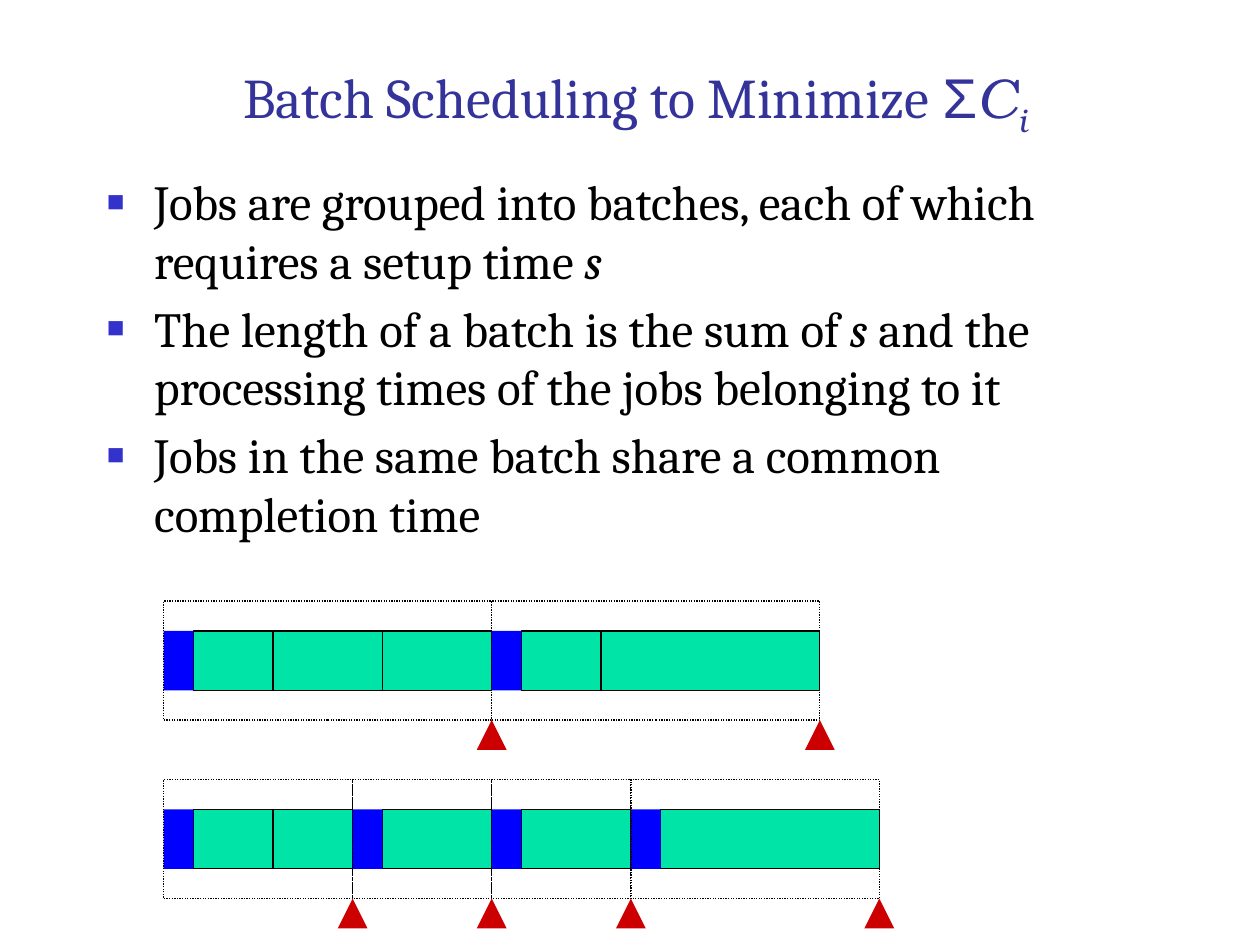
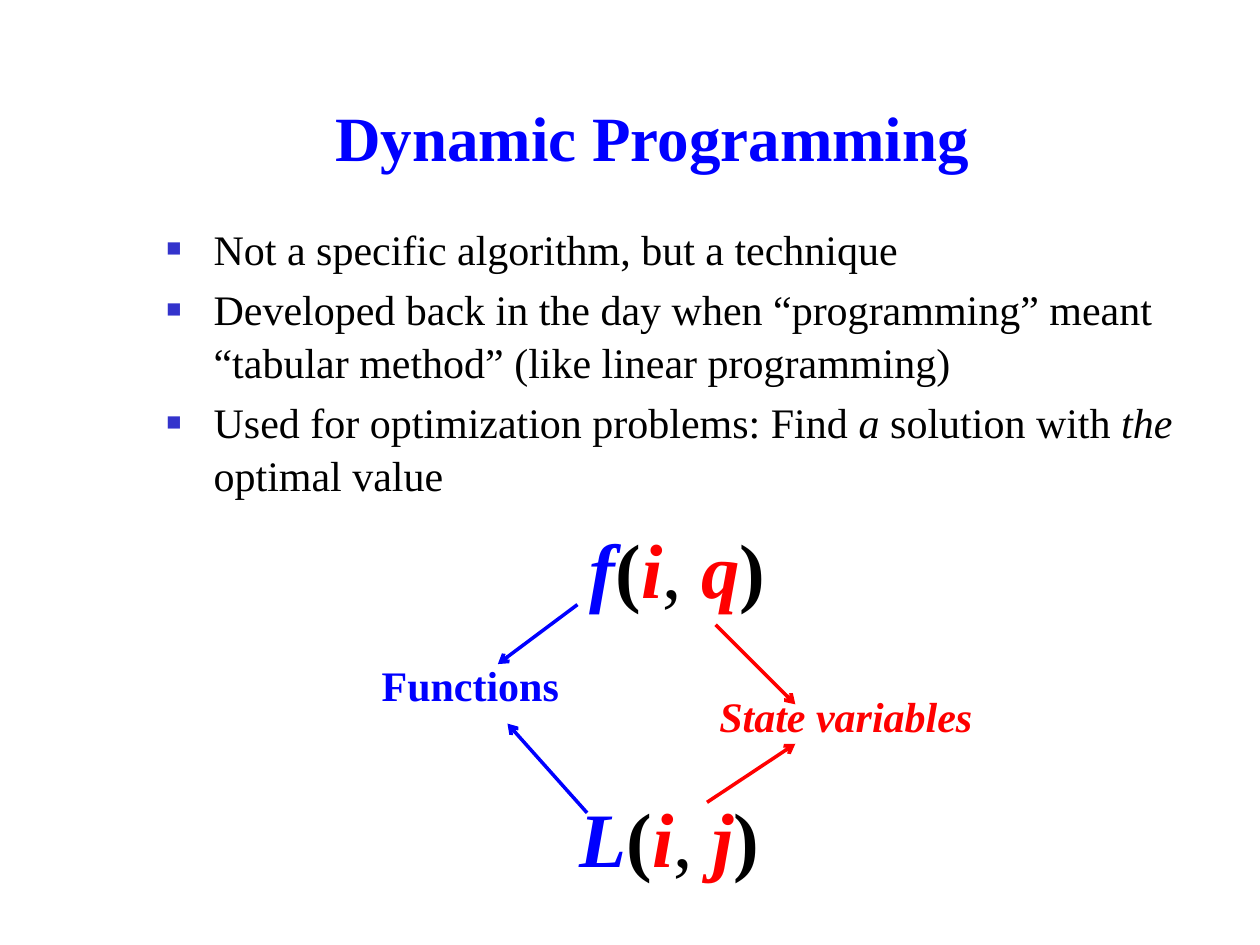
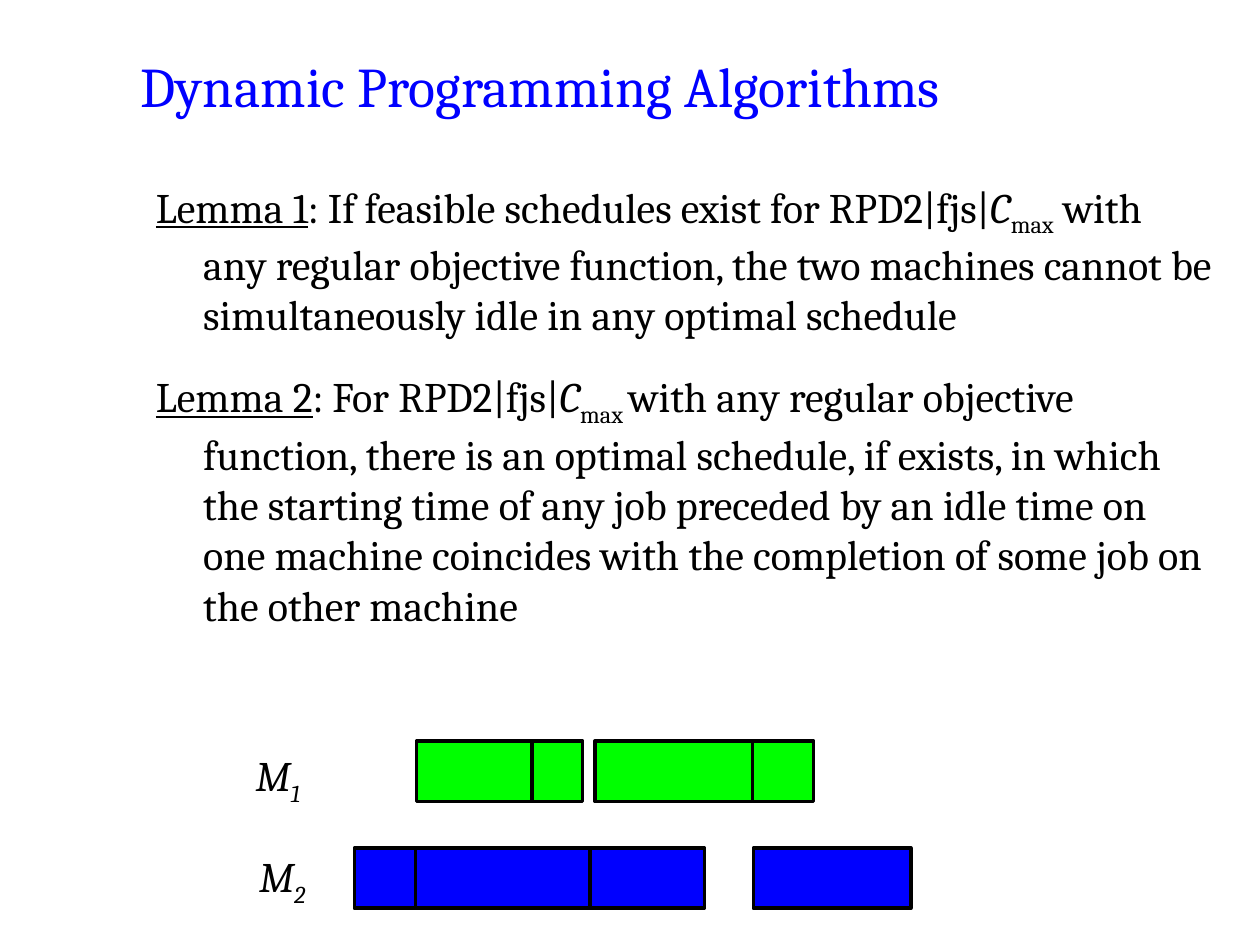
from dataclasses import dataclass
from typing import Optional

from lxml import etree
from pptx import Presentation
from pptx.dml.color import RGBColor
from pptx.enum.dml import MSO_LINE
from pptx.enum.shapes import MSO_CONNECTOR, MSO_SHAPE
from pptx.enum.text import MSO_ANCHOR, PP_ALIGN
from pptx.oxml.ns import qn
from pptx.util import Pt

RECTANGLE = MSO_SHAPE.RECTANGLE
TRIANGLE = MSO_SHAPE.ISOSCELES_TRIANGLE
STRAIGHT = MSO_CONNECTOR.STRAIGHT
DOTTED = MSO_LINE.ROUND_DOT
BOTTOM = MSO_ANCHOR.BOTTOM
CENTER = PP_ALIGN.CENTER


@dataclass(frozen=True)
class Theme:
    black: str = "000000"
    blue: str = "0000FF"
    red: str = "FF0000"
    green: str = "00FF00"
    indigo: str = "333399"
    bullet: str = "3333CC"
    job: str = "00E4A8"
    marker: str = "CC0000"
    serif: str = "Cambria"
    times: str = "Times New Roman"
    sans: str = "Arial"
    math: str = "TeX Gyre Bonum"
    title_size: float = 32
    large_title_size: float = 36
    large_body_size: float = 28
    body_size: float = 24
    formula_size: float = 44
    indent: float = 27
    thin: float = 0.75
    thick: float = 2


THEME = Theme()


@dataclass(frozen=True)
class Span:
    text: str
    italic: Optional[bool] = None
    bold: Optional[bool] = None
    underline: Optional[bool] = None
    subscript: bool = False
    font: Optional[str] = None
    color: Optional[str] = None


def italic(text, **style):
    return Span(text, italic=True, **style)


class Deck:
    def __init__(self, theme):
        self.theme = theme
        self.presentation = Presentation()
        self.presentation.slide_width = Pt(720)
        self.presentation.slide_height = Pt(540)
        self.slide = None

    def new_slide(self):
        self.slide = self.presentation.slides.add_slide(self.presentation.slide_layouts[6])

    def add_spans(self, paragraph, spans, size, font, color, bold=None):
        for span in spans:
            run = paragraph.add_run()
            run.text = span.text
            run.font.size = Pt(size)
            run.font.name = span.font or font
            run.font.color.rgb = RGBColor.from_string(span.color or color)
            run.font.bold = bold if span.bold is None else span.bold
            run.font.italic = span.italic
            run.font.underline = span.underline
            if span.subscript:
                run._r.get_or_add_rPr().set("baseline", "-25000")

    def text_frame(self, box, wrap=True):
        frame = self.slide.shapes.add_textbox(*map(Pt, box)).text_frame
        frame.word_wrap = wrap
        return frame

    def title(self, box, spans, size, font, color, bold=None):
        frame = self.text_frame(box)
        frame.vertical_anchor = BOTTOM
        paragraph = frame.paragraphs[0]
        paragraph.alignment = CENTER
        self.add_spans(paragraph, spans, size, font, color, bold)

    def label(self, box, spans, size, font, color, bold=None, wrap=False):
        paragraph = self.text_frame(box, wrap).paragraphs[0]
        self.add_spans(paragraph, spans, size, font, color, bold)

    def body(self, box, paragraphs, size, font, bulleted=True, later_gap=None, line_spacing=None):
        frame = self.text_frame(box)
        for index, spans in enumerate(paragraphs):
            paragraph = frame.add_paragraph() if index else frame.paragraphs[0]
            gap = later_gap if index and later_gap else 0.18 * size
            paragraph.space_before = Pt(gap)
            paragraph.line_spacing = line_spacing
            properties = paragraph._p.get_or_add_pPr()
            properties.set("marL", str(Pt(self.theme.indent)))
            properties.set("indent", str(-Pt(self.theme.indent)))
            if bulleted:
                self.bullet(properties)
            self.add_spans(paragraph, spans, size, font, self.theme.black)

    def bullet(self, properties):
        color = etree.SubElement(properties, qn("a:buClr"))
        etree.SubElement(color, qn("a:srgbClr"), val=self.theme.bullet)
        etree.SubElement(properties, qn("a:buSzPct"), val="60000")
        etree.SubElement(properties, qn("a:buFont"), typeface=self.theme.sans)
        etree.SubElement(properties, qn("a:buChar"), char="■")

    def block(self, box, fill=None, line_width=None, dash=None, kind=RECTANGLE):
        shape = self.slide.shapes.add_shape(kind, *map(Pt, box))
        shape.shadow.inherit = False
        if fill:
            shape.fill.solid()
            shape.fill.fore_color.rgb = RGBColor.from_string(fill)
        else:
            shape.fill.background()
        if line_width:
            shape.line.color.rgb = RGBColor.from_string(self.theme.black)
            shape.line.width = Pt(line_width)
            shape.line.dash_style = dash
        else:
            shape.line.fill.background()

    def arrow(self, start, end, color):
        connector = self.slide.shapes.add_connector(STRAIGHT, *map(Pt, start + end))
        connector.line.color.rgb = RGBColor.from_string(color)
        connector.line.width = Pt(self.theme.thick)
        properties = connector._element.spPr
        etree.SubElement(properties.get_or_add_ln(), qn("a:tailEnd"), type="arrow")
        etree.SubElement(properties, qn("a:effectLst"))

    def schedule(self, left, top, batches):
        setup, job_height, margin, marker = 17, 34, 17, 17
        height = job_height + 2 * margin
        for jobs in batches:
            job_top = top + margin
            end = left + setup
            for length in jobs:
                self.block((end, job_top, length, job_height), self.theme.job, self.theme.thin)
                end += length
            self.block((left, job_top, setup, job_height), self.theme.blue)
            self.block((left, top, end - left, height), None, self.theme.thin, DOTTED)
            self.block((end - marker / 2, top + height, marker, marker),
                       self.theme.marker, kind=TRIANGLE)
            left = end

    def machine(self, top, color, busy_periods):
        for left, lengths in busy_periods:
            for length in lengths:
                self.block((left, top, length, 34.5), color, self.theme.thick)
                left += length


def batch_slide(deck):
    theme = deck.theme
    deck.new_slide()
    deck.title((56, 28, 613.5, 55), [
        Span("Batch Scheduling to Minimize "),
        Span("Σ", font=theme.sans),
        italic("C", font=theme.math),
        italic("i", font=theme.math, subscript=True),
    ], theme.title_size, theme.serif, theme.indigo)
    deck.body((54, 94.5, 619, 243), [
        [Span("Jobs are grouped into batches, each of which requires a setup time "), italic("s")],
        [Span("The length of a batch is the sum of "), italic("s"),
         Span(" and the processing times of the jobs belonging to it")],
        [Span("Jobs in the same batch share a common completion time")],
    ], theme.large_body_size, theme.serif)
    short, medium, long = 45.5, 62.5, 125
    deck.schedule(93.5, 343.5, [(short, medium, medium), (short, long)])
    deck.schedule(93.5, 445.5, [(short, short), (medium,), (medium,), (long,)])


def technique_slide(deck):
    theme = deck.theme
    deck.new_slide()
    deck.title((66, 48, 613.5, 55), [Span("Dynamic Programming")],
               theme.large_title_size, theme.times, theme.blue, bold=True)
    deck.body((88, 122.5, 595.5, 181.5), [
        [Span("Not a specific algorithm, but a technique")],
        [Span("Developed back in the day when “programming” meant "
              "“tabular method” (like linear programming)")],
        [Span("Used for optimization problems: Find "), italic("a "),
         Span("solution with "), italic("the "), Span("optimal value")],
    ], theme.body_size, theme.times, line_spacing=1.05)
    formulas = [
        ((330, 294.5, 126.5, 60.5), "f", "q"),
        ((324, 448, 129.5, 60.5), "L", "j"),
    ]
    for box, function, variable in formulas:
        deck.label(box, [
            italic(function, color=theme.blue), Span("("),
            italic("i", color=theme.red), Span(", ", bold=False),
            italic(variable, color=theme.red), Span(")"),
        ], theme.formula_size, theme.times, theme.black, bold=True)
    deck.label((404, 391, 160.5, 36), [italic("State variables")],
               theme.body_size, theme.times, theme.red, bold=True)
    deck.label((211, 373.5, 116.5, 36), [Span("Functions")],
               theme.body_size, theme.times, theme.blue, bold=True)
    arrows = [
        ((409, 357), (454.5, 402.5), theme.red),
        ((404, 458.5), (454.5, 425), theme.red),
        ((330, 345.5), (284.5, 379.5), theme.blue),
        ((335.5, 464.5), (290, 413.5), theme.blue),
    ]
    for start, end, color in arrows:
        deck.arrow(start, end, color)


def lemma_slide(deck):
    theme = deck.theme
    deck.new_slide()
    deck.title((20, 0, 578, 71.5), [Span("Dynamic Programming Algorithms")],
               theme.title_size, theme.serif, theme.blue)
    lemmas = [
        ("Lemma 1", ": If feasible schedules exist for RPD2|fjs|", "max",
         " with any regular objective function, the two machines cannot be "
         "simultaneously idle in any optimal schedule"),
        ("Lemma 2", ": For RPD2|fjs|", "max ",
         "with any regular objective function, there is an optimal schedule, if exists, "
         "in which the starting time of any job preceded by an idle time on one machine "
         "coincides with the completion of some job on the other machine"),
    ]
    deck.body((82, 100, 618.5, 304.5), [
        [Span(name, underline=True), Span(problem), italic("C"),
         Span(subscript, subscript=True), Span(claim)]
        for name, problem, subscript, claim in lemmas
    ], theme.body_size, theme.serif, bulleted=False, later_gap=18)
    labels = [("1", (139, 425, 48, 36.5)), ("2", (141, 482.5, 48, 36))]
    for number, box in labels:
        deck.label(box, [italic("M"), italic(number, subscript=True)],
                   theme.body_size, theme.serif, theme.black, wrap=True)
    deck.machine(423.5, theme.green, [(238, (66, 29)), (340, (90, 35))])
    deck.machine(484.5, theme.blue, [(202.5, (35, 99.5, 65.5)), (430.5, (90,))])


def main():
    deck = Deck(THEME)
    batch_slide(deck)
    technique_slide(deck)
    lemma_slide(deck)
    deck.presentation.save("out.pptx")


if __name__ == "__main__":
    main()
